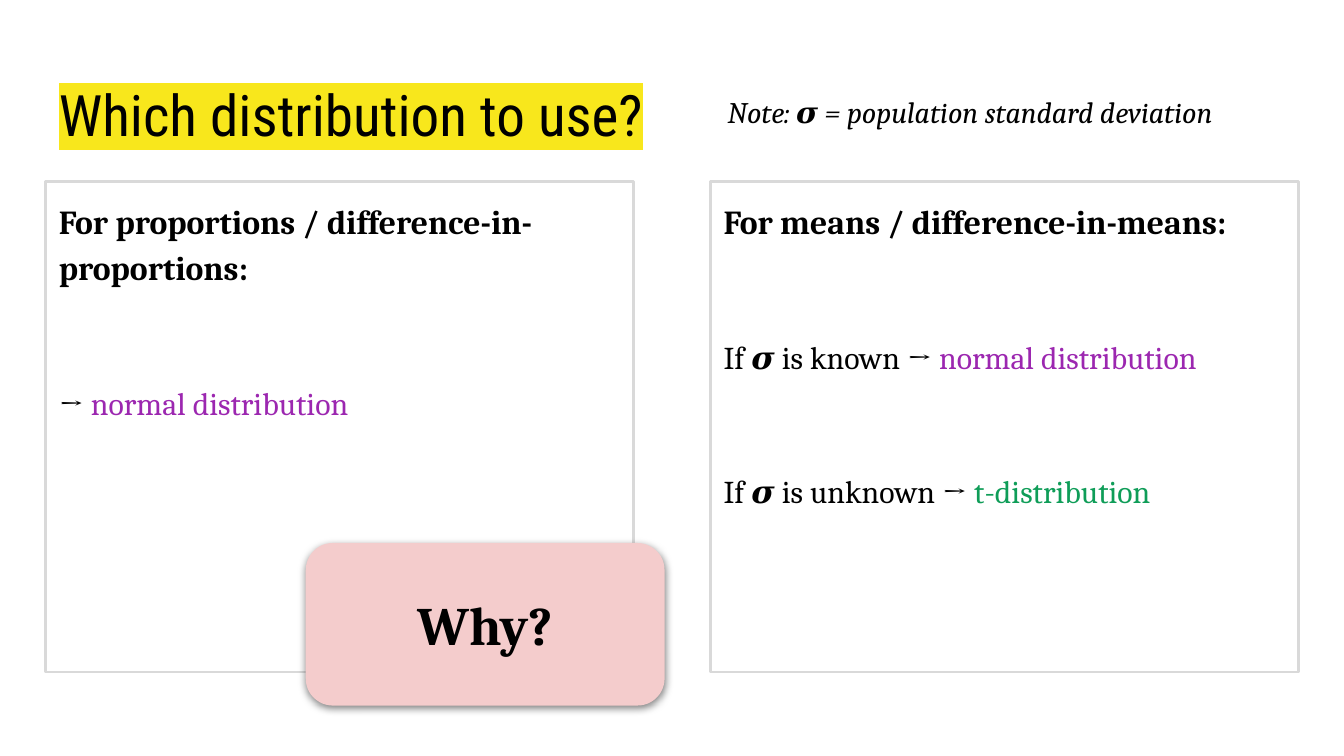
"""Build the slide that tells which sampling distribution to use."""
from dataclasses import dataclass

from lxml.etree import SubElement
from pptx import Presentation
from pptx.dml.color import RGBColor
from pptx.enum.shapes import MSO_SHAPE as Preset
from pptx.enum.text import MSO_ANCHOR as Anchor, PP_ALIGN as Align
from pptx.oxml.ns import qn
from pptx.util import Pt

PX = 4572


@dataclass(frozen=True)
class Theme:
    ink: str = "000000"
    marker: str = "F8E71C"
    border: str = "D9D9D9"
    normal: str = "9C27B0"
    student: str = "0F9D58"
    callout: str = "F4CCCC"
    serif: str = "Cambria"
    display: str = "Roboto Condensed"
    title_size: float = 30.6
    heading_size: float = 18
    rule_size: float = 17
    note_size: float = 16
    question_size: float = 29
    line_spacing: float = 1.15
    rule_gap: float = 48.6


class SlideBuilder:
    def __init__(self, slide, theme):
        self.slide = slide
        self.theme = theme

    def frame(self, shape, anchor=Anchor.TOP):
        frame = shape.text_frame
        frame.word_wrap = True
        frame.vertical_anchor = anchor
        frame.margin_left = frame.margin_right = 20 * PX
        frame.margin_top = frame.margin_bottom = 20 * PX
        return frame

    def text(self, box, anchor=Anchor.TOP):
        return self.frame(self.slide.shapes.add_textbox(*(n * PX for n in box)), anchor)

    def shape(self, preset, box):
        shape = self.slide.shapes.add_shape(preset, *(n * PX for n in box))
        shape.shadow.inherit = False
        return shape

    def run(self, paragraph, words, size, color=None, font=None, bold=False, italic=False):
        run = paragraph.add_run()
        run.text = words
        run.font.size = Pt(size)
        run.font.bold = bold
        run.font.italic = italic
        run.font.color.rgb = RGBColor.from_string(color or self.theme.ink)
        run.font.name = font or self.theme.serif
        for script in ("a:ea", "a:cs"):
            SubElement(run.font._element, qn(script), typeface=run.font.name)
        return run

    def highlight(self, run, color):
        latin = run.font._element.find(qn("a:latin"))
        marker = SubElement(run.font._element, qn("a:highlight"))
        SubElement(marker, qn("a:srgbClr"), val=color)
        latin.addprevious(marker)

    def title(self, box, words):
        theme = self.theme
        paragraph = self.text(box).paragraphs[0]
        run = self.run(paragraph, words, theme.title_size, font=theme.display)
        self.highlight(run, theme.marker)

    def note(self, box, words):
        paragraph = self.text(box).paragraphs[0]
        paragraph.line_spacing = self.theme.line_spacing
        self.run(paragraph, words, self.theme.note_size, italic=True)

    def panel(self, box, heading, rules):
        theme = self.theme
        panel = self.shape(Preset.RECTANGLE, box)
        panel.fill.background()
        panel.line.color.rgb = RGBColor.from_string(theme.border)
        panel.line.width = Pt(1.5)
        frame = self.frame(panel)
        first = frame.paragraphs[0]
        self.run(first, heading, theme.heading_size, bold=True)
        for condition, distribution, color in rules:
            paragraph = frame.add_paragraph()
            paragraph.space_before = Pt(theme.rule_gap)
            self.run(paragraph, condition, theme.rule_size)
            self.run(paragraph, distribution, theme.rule_size, color)
        for paragraph in frame.paragraphs:
            paragraph.alignment = Align.LEFT
            paragraph.line_spacing = theme.line_spacing

    def callout(self, box, words):
        theme = self.theme
        callout = self.shape(Preset.ROUNDED_RECTANGLE, box)
        callout.fill.solid()
        callout.fill.fore_color.rgb = RGBColor.from_string(theme.callout)
        callout.line.fill.background()
        effects = callout._element.spPr.find(qn("a:effectLst"))
        shadow = SubElement(effects, qn("a:outerShdw"), blurRad=str(Pt(4.5)),
                            dist=str(Pt(1.5)), dir="5400000", algn="bl", rotWithShape="0")
        tint = SubElement(shadow, qn("a:srgbClr"), val=theme.ink)
        SubElement(tint, qn("a:alpha"), val="50000")
        paragraph = self.frame(callout, Anchor.MIDDLE).paragraphs[0]
        paragraph.alignment = Align.CENTER
        self.run(paragraph, words, theme.question_size, bold=True)


def main():
    deck = Presentation()
    deck.slide_width, deck.slide_height = 2000 * PX, 1125 * PX
    theme = Theme()
    builder = SlideBuilder(deck.slides.add_slide(deck.slide_layouts[6]), theme)

    builder.title((68, 98, 1864, 126), "Which distribution to use?")
    normal = ("normal distribution", theme.normal)
    student = ("t-distribution", theme.student)
    panels = (
        (68, "For proportions / difference-in-proportions:", [("→ ", *normal)]),
        (1057, "For means / difference-in-means:",
         [("If 𝝈 is known → ", *normal), ("If 𝝈 is unknown → ", *student)]),
    )
    for left, heading, rules in panels:
        builder.panel((left, 270, 875, 730), heading, rules)
    builder.note((1063, 112, 862, 94), "Note: 𝝈 = population standard deviation")
    builder.callout((455, 808, 534, 242), "Why?")
    deck.save("out.pptx")


if __name__ == "__main__":
    main()
